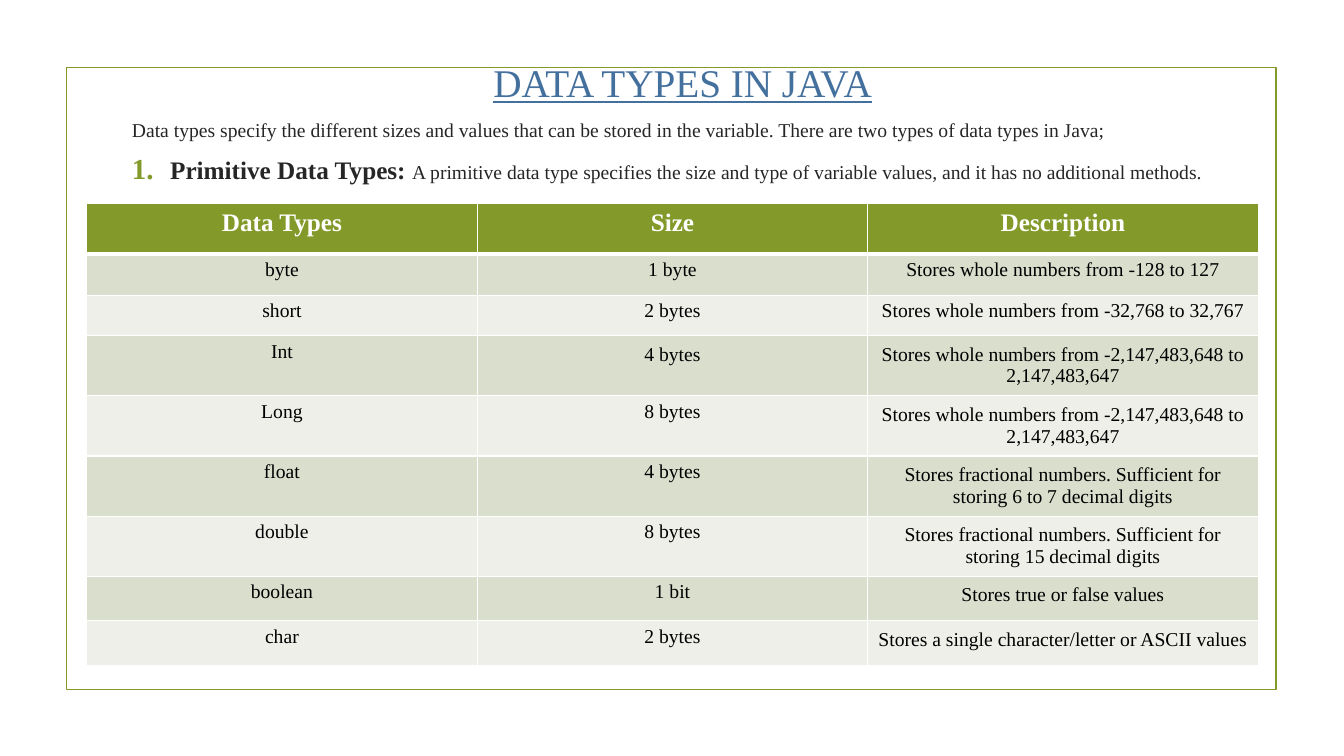
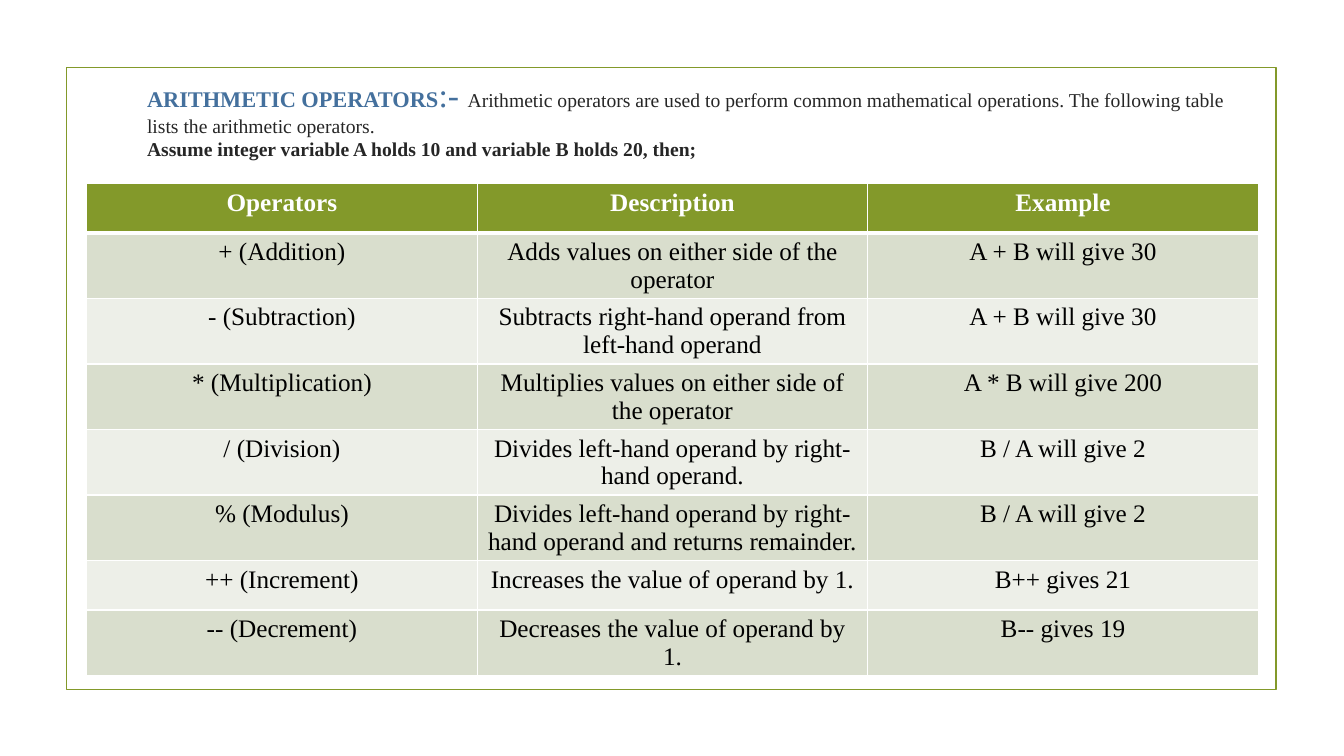
from dataclasses import dataclass

from lxml import etree
from pptx import Presentation
from pptx import util as u
from pptx.dml.color import RGBColor
from pptx.enum import shapes, text
from pptx.oxml import ns

EMU_PER_PX = 9144


@dataclass(frozen=True)
class Theme:
    font: str = "Times New Roman"
    olive: str = "83992A"
    heading: str = "44709D"
    ink: str = "262626"
    black: str = "000000"
    white: str = "FFFFFF"
    bands: tuple = ("D9DECD", "EDEFE8")
    title: int = 28
    mark: int = 24
    large: int = 18
    topic: int = 16
    body: int = 14
    frame_line: float = 1.25
    cell_line: int = 1
    header_line: int = 3


THEME = Theme()
FRAME = (66, 67, 1200, 617)

DATA_TYPES = [
    ("Data Types", "Size", "Description"),
    ("byte", "1 byte", "Stores whole numbers from -128 to 127"),
    ("short", "2 bytes", "Stores whole numbers from -32,768 to 32,767"),
    ("Int", "4 bytes", "Stores whole numbers from -2,147,483,648 to 2,147,483,647"),
    ("Long", "8 bytes", "Stores whole numbers from -2,147,483,648 to 2,147,483,647"),
    ("float", "4 bytes",
     "Stores fractional numbers. Sufficient for storing 6 to 7 decimal digits"),
    ("double", "8 bytes",
     "Stores fractional numbers. Sufficient for storing 15 decimal digits"),
    ("boolean", "1 bit", "Stores true or false values"),
    ("char", "2 bytes", "Stores a single character/letter or ASCII values"),
]

OPERATORS = [
    ("Operators", "Description", "Example"),
    ("+ (Addition)", "Adds values on either side of the operator", "A + B will give 30"),
    ("- (Subtraction)", "Subtracts right-hand operand from left-hand operand",
     "A + B will give 30"),
    ("* (Multiplication)", "Multiplies values on either side of the operator",
     "A * B will give 200"),
    ("/ (Division)", "Divides left-hand operand by right-hand operand.",
     "B / A will give 2"),
    ("% (Modulus)",
     "Divides left-hand operand by right-hand operand and returns remainder.",
     "B / A will give 2"),
    ("++ (Increment)", "Increases the value of operand by 1.", "B++ gives 21"),
    ("-- (Decrement)", "Decreases the value of operand by 1.", "B-- gives 19"),
]


def px(length):
    return u.Emu(length * EMU_PER_PX)


def colour(value):
    return RGBColor.from_string(value)


def add_span(para, words, size, ink, bold=False, underline=False):
    span = para.add_run()
    span.text = words
    font = span.font
    font.name, font.size, font.bold = THEME.font, u.Pt(size), bold
    font.color.rgb = colour(ink)
    if underline:
        font.underline = True


def add_frame(page, box):
    frame = page.shapes.add_shape(shapes.MSO_SHAPE.RECTANGLE, *map(px, box))
    frame.shadow.inherit = False
    frame.fill.background()
    frame.line.color.rgb = colour(THEME.olive)
    frame.line.width = u.Pt(THEME.frame_line)


def add_page(deck):
    page = deck.slides.add_slide(deck.slide_layouts[6])
    add_frame(page, FRAME)
    return page


def add_text_area(page, box):
    area = page.shapes.add_textbox(*map(px, box)).text_frame
    area.word_wrap = True
    return area


def style_para(para, margin=50, indent=0):
    para.space_before, para.space_after = u.Pt(3), u.Pt(6)
    properties = para._p.get_or_add_pPr()
    properties.set("marL", str(px(margin)))
    properties.set("indent", str(px(indent)))


def number_para(para):
    """Give the paragraph an enlarged olive number."""
    properties = para._p.get_or_add_pPr()
    tint = etree.SubElement(properties, ns.qn("a:buClr"))
    etree.SubElement(tint, ns.qn("a:srgbClr"), val=THEME.olive)
    etree.SubElement(properties, ns.qn("a:buSzPct"), val="115000")
    etree.SubElement(properties, ns.qn("a:buFont"), typeface=THEME.font)
    etree.SubElement(properties, ns.qn("a:buAutoNum"), type="arabicPeriod")


def add_cell_borders(cell, header):
    """Draw white edges; the row above supplies the top edge of a body cell."""
    bottom = THEME.header_line if header else THEME.cell_line
    edges = [("lnL", THEME.cell_line), ("lnR", THEME.cell_line)]
    if header:
        edges.append(("lnT", THEME.cell_line))
    edges.append(("lnB", bottom))
    properties = cell._tc.get_or_add_tcPr()
    for position, (edge, width) in enumerate(edges):
        line = etree.Element(ns.qn(f"a:{edge}"), w=str(u.Pt(width)))
        fill = etree.SubElement(line, ns.qn("a:solidFill"))
        etree.SubElement(fill, ns.qn("a:srgbClr"), val=THEME.white)
        properties.insert(position, line)


def fill_cell(cell, words, row, size, padded):
    """Fill one cell; a slim bottom margin keeps two-line rows compact."""
    header = row == 0
    cell.fill.solid()
    cell.fill.fore_color.rgb = colour(THEME.olive if header else THEME.bands[(row - 1) % 2])
    add_cell_borders(cell, header)
    if padded:
        cell.margin_left = cell.margin_right = cell.margin_top = px(8)
    cell.margin_bottom = px(5 if padded else 0)
    para = cell.text_frame.paragraphs[0]
    para.alignment = text.PP_ALIGN.CENTER
    if header:
        add_span(para, words, THEME.large, THEME.white, bold=True)
    else:
        add_span(para, words, size, THEME.black)


def add_grid(page, box, rows, heights, size, padded=()):
    left, top, width = box
    columns = len(rows[0])
    grid = page.shapes.add_table(
        len(rows), columns, px(left), px(top), px(width), px(sum(heights))).table
    grid.horz_banding = False
    for column in grid.columns:
        column.width = px(width) // columns
    for row, (entries, height) in enumerate(zip(rows, heights)):
        grid.rows[row].height = px(height)
        for column, words in enumerate(entries):
            fill_cell(grid.cell(row, column), words, row, size, (row, column) in padded)


def add_data_types_page(deck):
    page = add_page(deck)
    area = add_text_area(page, (71, 53, 1162, 621))

    title = area.paragraphs[0]
    style_para(title)
    title.alignment = text.PP_ALIGN.CENTER
    add_span(title, "DATA TYPES IN JAVA", THEME.title, THEME.heading, underline=True)

    intro = area.add_paragraph()
    style_para(intro)
    add_span(intro, "Data types specify the different sizes and values that can be stored "
             "in the variable. There are two types of data types in Java;",
             THEME.body, THEME.ink)

    primitive = area.add_paragraph()
    style_para(primitive, margin=88, indent=-38)
    number_para(primitive)
    add_span(primitive, "Primitive Data Types: ", THEME.large, THEME.ink, bold=True)
    add_span(primitive, "A primitive data type specifies the size and type of variable "
             "values, and it has no additional methods.", THEME.body, THEME.ink)

    padded = {(3, 1)} | {(row, 2) for row in range(3, len(DATA_TYPES))}
    add_grid(page, (86, 202, 1162), DATA_TYPES,
             [50, 41, 40, 46] + [44] * 5, THEME.body, padded)


def add_operators_page(deck):
    page = add_page(deck)
    para = add_text_area(page, (86, 68, 1162, 611)).paragraphs[0]
    style_para(para)
    add_span(para, "ARITHMETIC OPERATORS", THEME.topic, THEME.heading, bold=True)
    add_span(para, ":- ", THEME.mark, THEME.heading)
    add_span(para, "Arithmetic operators are used to perform common mathematical "
             "operations. The following table lists the arithmetic operators.",
             THEME.body, THEME.ink)
    para.add_line_break()
    add_span(para, "Assume integer variable A holds 10 and variable B holds 20, then;",
             THEME.body, THEME.ink, bold=True)
    add_grid(page, (86, 182, 1162), OPERATORS, [49, 59] + [49] * 6, THEME.large)


def main():
    deck = Presentation()
    deck.slide_width, deck.slide_height = px(1333), px(750)
    add_data_types_page(deck)
    add_operators_page(deck)
    deck.save("out.pptx")


if __name__ == "__main__":
    main()
